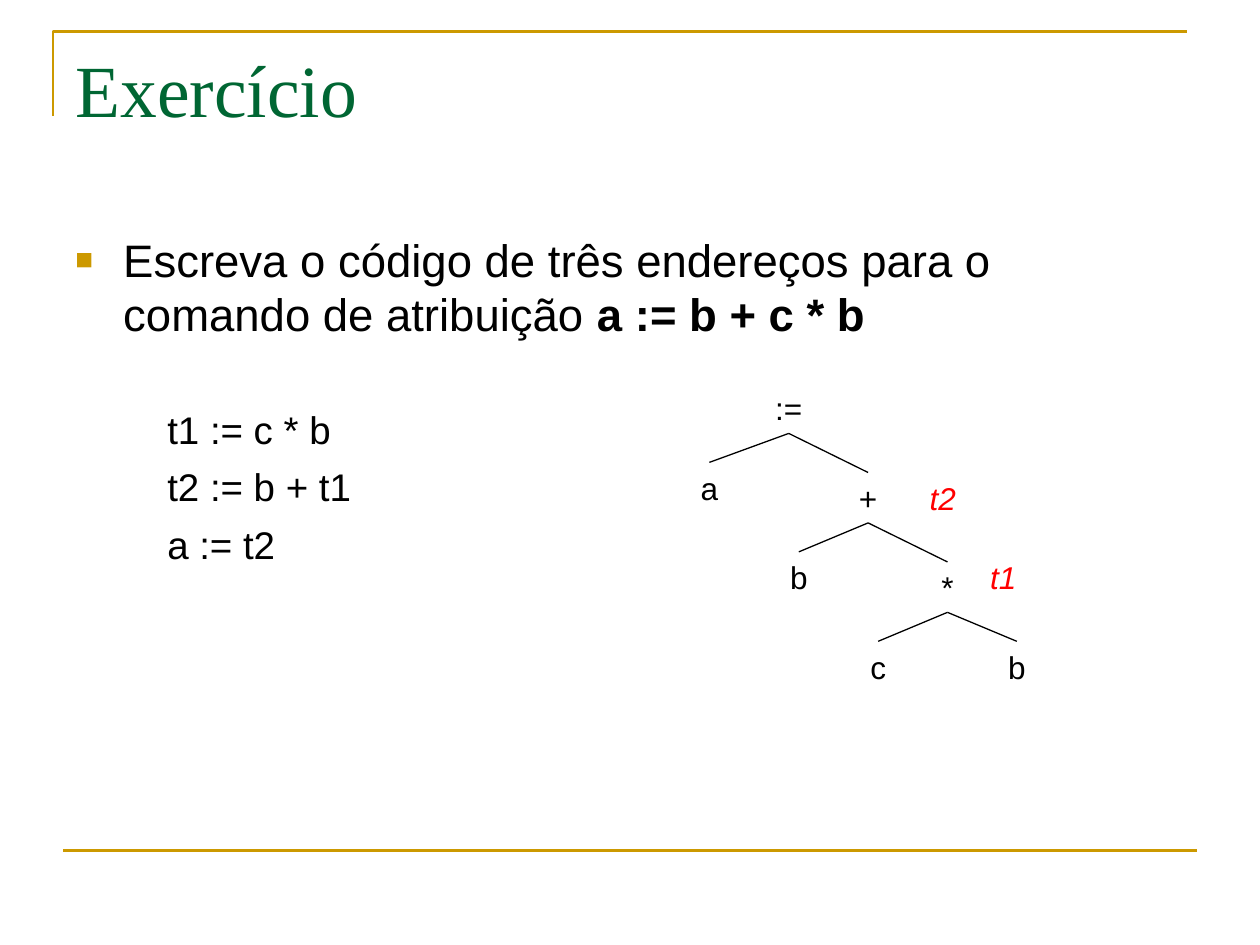
"""Build the slide on three-address code with its syntax tree."""
from pptx import Presentation
from pptx import util as u
from pptx.dml.color import RGBColor
from pptx.enum import shapes, text
from pptx.oxml import parse_xml
from pptx.oxml.ns import nsdecls

COLORS = {"gold": "CC9900", "green": "006633", "black": "000000", "red": "FF0000"}
Inches = u.Inches


def add_text(p, content, size=18, color="black", font="Arial", bold=False,
             italic=False, align=text.PP_ALIGN.LEFT):
    p.alignment = align
    r = p.add_run()
    r.text = content
    r.font.size, r.font.name = u.Pt(size), font
    r.font.bold, r.font.italic = bold, italic
    r.font.color.rgb = RGBColor.from_string(COLORS[color])


def add_line(x1, y1, x2, y2, color="black", width=0.75):
    c = s.shapes.add_connector(shapes.MSO_CONNECTOR.STRAIGHT,
                               Inches(x1), Inches(y1), Inches(x2), Inches(y2))
    c.line.color.rgb = RGBColor.from_string(COLORS[color])
    c.line.width = u.Pt(width)
    c._element.spPr.append(parse_xml(f"<a:effectLst {nsdecls('a')}/>"))


prs = Presentation()
prs.slide_width, prs.slide_height = Inches(10), Inches(7.5)
s = prs.slides.add_slide(prs.slide_layouts[5])

fb = s.shapes.build_freeform(Inches(0.42), Inches(0.92))
fb.add_line_segments([(Inches(0.42), Inches(0.25)), (Inches(9.42), Inches(0.25))], close=False)
sp = fb.convert_to_shape()
sp.shadow.inherit = False
sp.fill.background()
sp.line.color.rgb = RGBColor.from_string(COLORS["gold"])
sp.line.width = u.Pt(1.5)
add_line(0.5, 6.75, 9.5, 6.75, "gold", 1.5)

title = s.shapes.title
title.left, title.top, title.width, title.height = map(Inches, (0.5, 0.3, 9, 1.25))
tf = title.text_frame
tf.vertical_anchor = text.MSO_ANCHOR.TOP
tf.auto_size = text.MSO_AUTO_SIZE.NONE
add_text(tf.paragraphs[0], "Exercício", size=42, color="green", font="Times New Roman")

body = s.shapes.add_textbox(Inches(0.5), Inches(1.79), Inches(9), Inches(4.91))
tf = body.text_frame
tf.word_wrap = True
p = tf.paragraphs[0]
pPr = p._p.get_or_add_pPr()
pPr.set("marL", str(Inches(0.38)))
pPr.set("indent", str(Inches(-0.38)))
for xml in (f'<a:buClr {nsdecls("a")}><a:srgbClr val="{COLORS["gold"]}"/></a:buClr>',
            f'<a:buSzPct {nsdecls("a")} val="65000"/>',
            f'<a:buFont {nsdecls("a")} typeface="Arial"/>',
            f'<a:buChar {nsdecls("a")} char="■"/>'):
    pPr.append(parse_xml(xml))
add_text(p, "Escreva o código de três endereços para o comando de atribuição ", size=26)
add_text(p, "a := b + c * b", size=26, bold=True)
for code, gap in (("t1 := c * b", 37), ("t2 := b + t1", 6.5), ("a := t2", 6.5)):
    p = tf.add_paragraph()
    p._p.get_or_add_pPr().set("marL", str(Inches(0.73)))
    p.space_before = u.Pt(gap)
    add_text(p, code, size=22)

NODE_W, NODE_H = 0.47, 0.4
nodes = [(":=", 6.26, 3.04, None), ("a", 5.63, 3.67, 0), ("+", 6.89, 3.75, 0),
         ("b", 6.34, 4.38, 2), ("*", 7.52, 4.46, 2),
         ("c", 6.97, 5.09, 4), ("b", 8.07, 5.09, 4)]
for label, x, y, parent in nodes:
    sp = s.shapes.add_textbox(Inches(x - NODE_W / 2), Inches(y), Inches(NODE_W), Inches(NODE_H))
    sp.text_frame.word_wrap = True
    add_text(sp.text_frame.paragraphs[0], label, align=text.PP_ALIGN.CENTER)
    if parent is not None:
        _, px, py, _ = nodes[parent]
        add_line(px, py + NODE_H, x, y)

for label, x, y in (("t1", 7.76, 4.38), ("t2", 7.28, 3.75)):
    sp = s.shapes.add_textbox(Inches(x), Inches(y), Inches(0.55), Inches(NODE_H))
    sp.text_frame.word_wrap = True
    add_text(sp.text_frame.paragraphs[0], label, color="red", italic=True)

prs.save("out.pptx")
